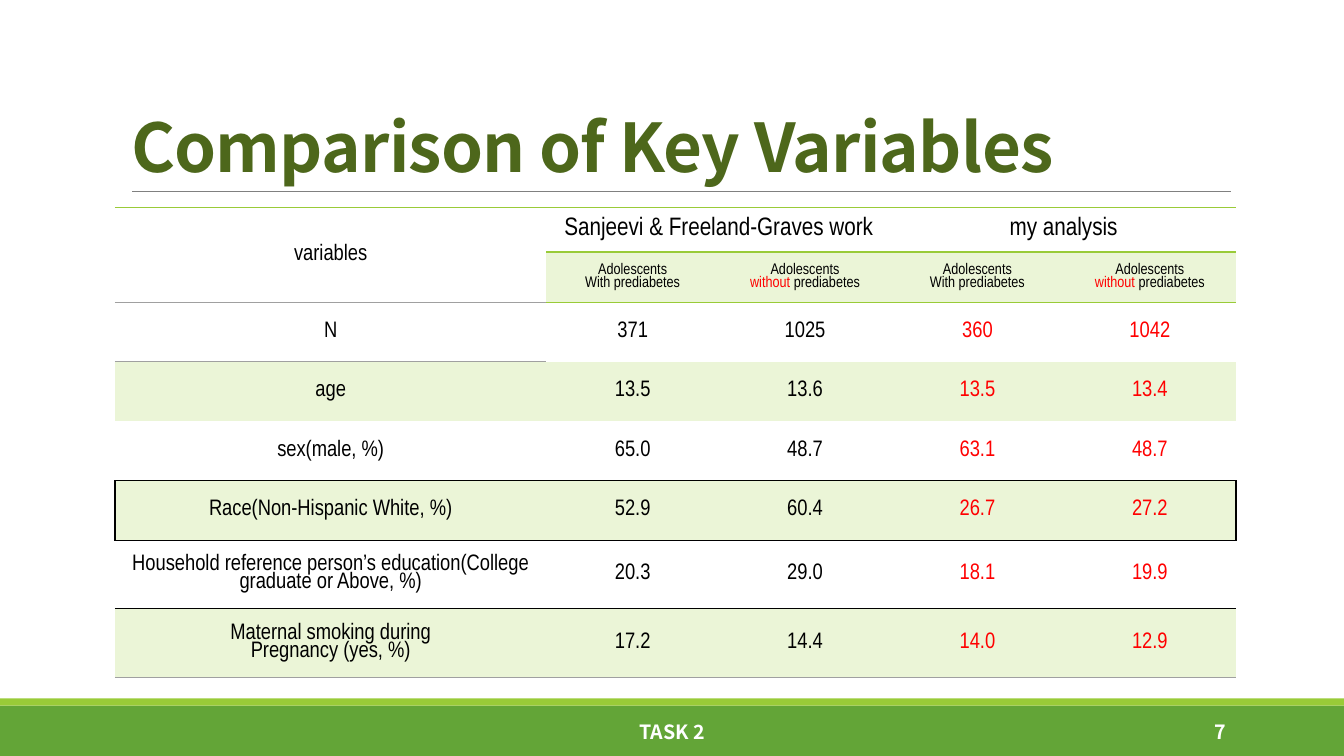
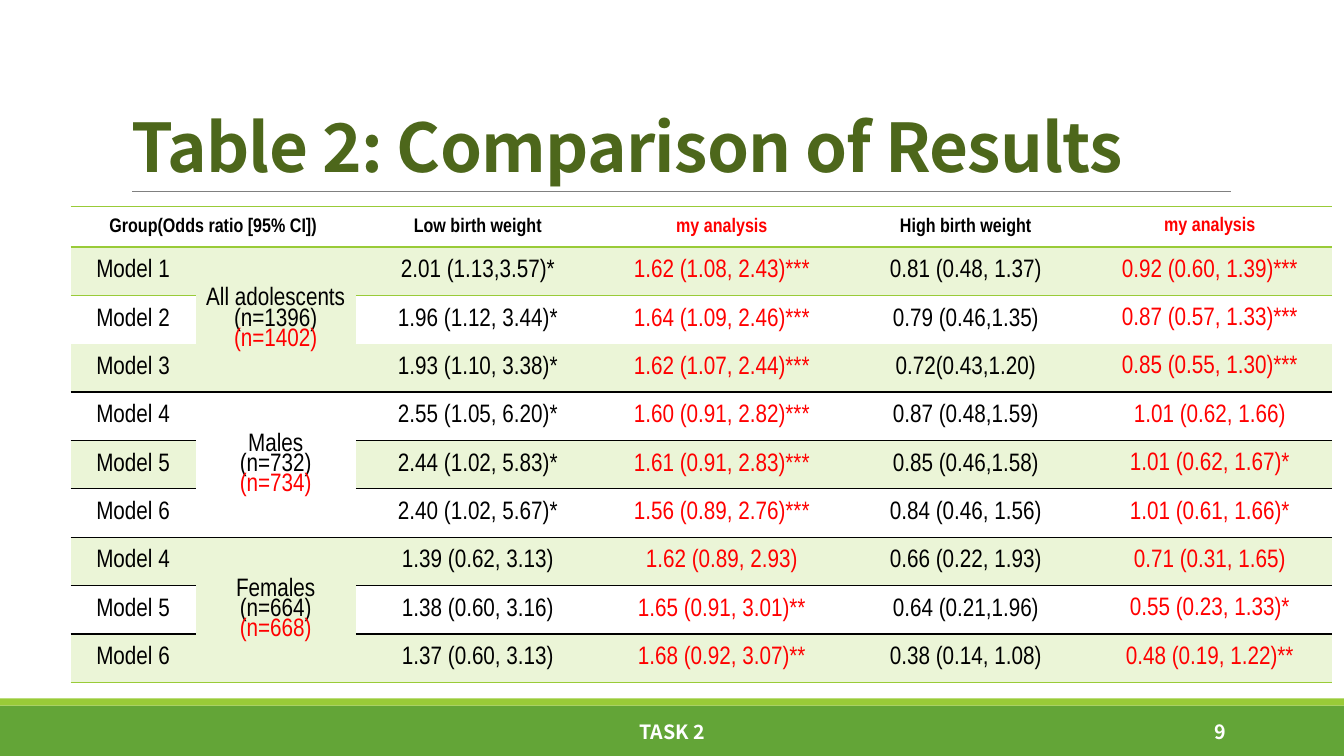
from lxml import etree
from pptx import Presentation
from pptx.dml.color import RGBColor
from pptx.enum.shapes import MSO_CONNECTOR, MSO_SHAPE
from pptx.enum.text import MSO_ANCHOR, MSO_AUTO_SIZE, PP_ALIGN
from pptx.oxml.ns import qn
from pptx.util import Inches, Pt

LEFT, MID, RIGHT = PP_ALIGN.LEFT, PP_ALIGN.CENTER, PP_ALIGN.RIGHT
CENTER, BOTTOM = MSO_ANCHOR.MIDDLE, MSO_ANCHOR.BOTTOM
RECT, LINE = MSO_SHAPE.RECTANGLE, MSO_CONNECTOR.STRAIGHT
FIXED = MSO_AUTO_SIZE.NONE

SANS, NARROW = "Noto Sans CJK SC", "Arial Narrow"
GREEN, LIME, PALE, OLIVE = "63A537", "99CB38", "EBF5D7", "4D671B"
BLACK, WHITE, RED, GRAY, SILVER = "000000", "FFFFFF", "FF0000", "808080", "A0A0A0"
PLAIN = "{2D5ABB26-0587-4C30-8999-92F81FD0307C}"
SIDES = ["lnL", "lnR", "lnT", "lnB"]
rgb = RGBColor.from_string


def put(frame, text, size=16, font=NARROW, color=BLACK, bold=False,
        align=MID, space=0.85, track=None):
    frame.word_wrap = True
    for i, line in enumerate(text.split("\n")):
        para = frame.add_paragraph() if i else frame.paragraphs[0]
        para.alignment, para.line_spacing = align, space
        for j, part in enumerate(line.split("^")):
            if not part:
                continue
            run = para.add_run()
            run.text = part
            run.font.size, run.font.name, run.font.bold = Pt(size), font, bold
            run.font.color.rgb = rgb(RED if j % 2 else color)
            props = run.font._element
            etree.SubElement(props, qn("a:ea")).set("typeface", font)
            if track:
                props.set("spc", str(track))


def edge(cell, side, color):
    props = cell._tc.get_or_add_tcPr()
    old = props.find(qn("a:" + side))
    if old is not None:
        props.remove(old)
    prior = SIDES[:SIDES.index(side)]
    spot = sum(props.find(qn("a:" + name)) is not None for name in prior)
    line = etree.Element(qn("a:" + side), w=str(Pt(1)))
    fill = etree.SubElement(line, qn("a:solidFill"))
    etree.SubElement(fill, qn("a:srgbClr")).set("val", color)
    props.insert(spot, line)


pages = [
    {
        "title": "Comparison of Key Variables",
        "page": "7",
        "at": (1.14, 2.06),
        "cols": [4.28] + [1.71] * 4,
        "rows": [0.44, 0.5] + [0.59] * 4 + [0.68] * 2,
        "sizes": [18, 11] + [16] * 6,
        "lead": 16,
        "bold": False,
        "tight": 0,
        "red": {3, 4},
        "start": 2,
        "merge": [(0, 0, 1, 0), (0, 1, 0, 2), (0, 3, 0, 4)],
        "lines": [(0, range(5), LIME), (1, range(1, 5), LIME), (2, [0], SILVER),
                  (5, range(5), BLACK), (6, range(5), BLACK),
                  (7, range(5), BLACK), (8, range(5), SILVER)],
        "box": [5],
        "data": [
            ["variables", "Sanjeevi & Freeland-Graves work", "", "my analysis", ""],
            [""] + ["Adolescents\nWith prediabetes",
                    "Adolescents\n^without^ prediabetes"] * 2,
            ["N", "371", "1025", "360", "1042"],
            ["age", "13.5", "13.6", "13.5", "13.4"],
            ["sex(male, %)", "65.0", "48.7", "63.1", "48.7"],
            ["Race(Non-Hispanic White, %)", "52.9", "60.4", "26.7", "27.2"],
            ["Household reference person’s education(College graduate or Above, %)",
             "20.3", "29.0", "18.1", "19.9"],
            ["Maternal smoking during\nPregnancy (yes, %)",
             "17.2", "14.4", "14.0", "12.9"],
        ],
    },
    {
        "title": "Table 2: Comparison of Results",
        "page": "9",
        "at": (0.7, 2.05),
        "cols": [1.24, 1.59] + [2.42] * 4,
        "rows": [0.4] + [0.48] * 9,
        "sizes": [14] + [18] * 9,
        "lead": None,
        "bold": True,
        "tight": 5,
        "red": {3, 5},
        "start": 0,
        "merge": [(0, 0, 0, 1)] + [(r, 1, r + 2, 1) for r in (1, 4, 7)],
        "lines": [(0, range(6), LIME), (1, range(6), LIME),
                  (4, range(6), BLACK), (5, [0, 2, 3, 4, 5], BLACK),
                  (7, range(6), BLACK), (8, [0, 2, 3, 4, 5], BLACK),
                  (10, range(6), LIME)],
        "box": [],
        "data": [
            ["Group(Odds ratio [95% CI])", "", "Low birth weight", "my analysis",
             "High birth weight", "my analysis"],
            ["Model 1", "All adolescents\n(n=1396)\n^(n=1402)", "2.01 (1.13,3.57)*",
             "1.62 (1.08, 2.43)***", "0.81 (0.48, 1.37)", "0.92 (0.60, 1.39)***"],
            ["Model 2", "", "1.96 (1.12, 3.44)*",
             "1.64 (1.09, 2.46)***", "0.79 (0.46,1.35)", "0.87 (0.57, 1.33)***"],
            ["Model 3", "", "1.93 (1.10, 3.38)*",
             "1.62 (1.07, 2.44)***", "0.72(0.43,1.20)", "0.85 (0.55, 1.30)***"],
            ["Model 4", "Males\n(n=732)\n^(n=734)", "2.55 (1.05, 6.20)*",
             "1.60 (0.91, 2.82)***", "0.87 (0.48,1.59)", "1.01 (0.62, 1.66)"],
            ["Model 5", "", "2.44 (1.02, 5.83)*",
             "1.61 (0.91, 2.83)***", "0.85 (0.46,1.58)", "1.01 (0.62, 1.67)*"],
            ["Model 6", "", "2.40 (1.02, 5.67)*",
             "1.56 (0.89, 2.76)***", "0.84 (0.46, 1.56)", "1.01 (0.61, 1.66)*"],
            ["Model 4", "Females\n(n=664)\n^(n=668)", "1.39 (0.62, 3.13)",
             "1.62 (0.89, 2.93)", "0.66 (0.22, 1.93)", "0.71 (0.31, 1.65)"],
            ["Model 5", "", "1.38 (0.60, 3.16)",
             "1.65 (0.91, 3.01)**", "0.64 (0.21,1.96)", "0.55 (0.23, 1.33)*"],
            ["Model 6", "", "1.37 (0.60, 3.13)",
             "1.68 (0.92, 3.07)**", "0.38 (0.14, 1.08)", "0.48 (0.19, 1.22)**"],
        ],
    },
]

deck = Presentation()
deck.slide_width, deck.slide_height = Inches(13.33), Inches(7.5)

for page in pages:
    slide = deck.slides.add_slide(deck.slide_layouts[5])
    shapes = slide.shapes

    for top, high, color in [(7, 0.5, GREEN), (6.93, 0.07, LIME)]:
        band = shapes.add_shape(RECT, 0, Inches(top), deck.slide_width, Inches(high))
        band.shadow.inherit = False
        band.fill.solid()
        band.fill.fore_color.rgb = rgb(color)
        band.line.fill.background()

    rule = shapes.add_connector(LINE, Inches(1.31), Inches(1.9),
                                Inches(12.21), Inches(1.9))
    rule.line.color.rgb, rule.line.width = rgb(GRAY), Pt(0.5)
    etree.SubElement(rule._element.spPr, qn("a:effectLst"))

    title = shapes.title
    title.left, title.top = Inches(1.2), Inches(0.31)
    title.width, title.height = Inches(11), Inches(1.59)
    title.text_frame.auto_size = FIXED
    title.text_frame.vertical_anchor = BOTTOM
    put(title.text_frame, page["title"], size=48, font=SANS, color=OLIVE,
        bold=True, align=LEFT, track=-50)

    for left, wide, text, align in [(4.03, 5.27, "TASK 2", MID),
                                    (10.83, 1.43, page["page"], RIGHT)]:
        foot = shapes.add_textbox(Inches(left), Inches(7.06), Inches(wide), Inches(0.4))
        foot.text_frame.vertical_anchor = CENTER
        put(foot.text_frame, text, size=14, font=SANS, color=WHITE,
            bold=True, align=align, space=1)

    cols, rows = page["cols"], page["rows"]
    left, top = page["at"]
    grid = shapes.add_table(len(rows), len(cols), Inches(left), Inches(top),
                            Inches(sum(cols)), Inches(sum(rows))).table
    grid.first_row = grid.horz_banding = False
    grid._tbl.tblPr.find(qn("a:tableStyleId")).text = PLAIN
    for col, wide in zip(grid.columns, cols):
        col.width = Inches(wide)
    for row, high in zip(grid.rows, rows):
        row.height = Inches(high)
    for r, c, last, end in page["merge"]:
        grid.cell(r, c).merge(grid.cell(last, end))

    for y, span, color in page["lines"]:
        for c in span:
            if y:
                edge(grid.cell(y - 1, c), "lnB", color)
            if y < len(rows):
                edge(grid.cell(y, c), "lnT", color)
            for r, first, last, end in page["merge"]:
                if (last + 1, first) == (y, c):
                    edge(grid.cell(r, c), "lnB", color)
    for r in page["box"]:
        edge(grid.cell(r, 0), "lnL", BLACK)
        edge(grid.cell(r, len(cols) - 1), "lnR", BLACK)

    for r, line in enumerate(page["data"]):
        for c, text in enumerate(line):
            cell = grid.cell(r, c)
            cell.vertical_anchor = CENTER
            if c < page["tight"]:
                cell.margin_left = cell.margin_right = cell.margin_top = Inches(0.01)
                cell.margin_bottom = 0
            if r % 2:
                cell.fill.solid()
                cell.fill.fore_color.rgb = rgb(PALE)
            else:
                cell.fill.background()
            if text:
                hot = c in page["red"] and r >= page["start"]
                size = page["lead"] if page["lead"] and c == 0 else page["sizes"][r]
                put(cell.text_frame, text, size=size, color=RED if hot else BLACK,
                    bold=page["bold"] and r == 0)

deck.save("out.pptx")
